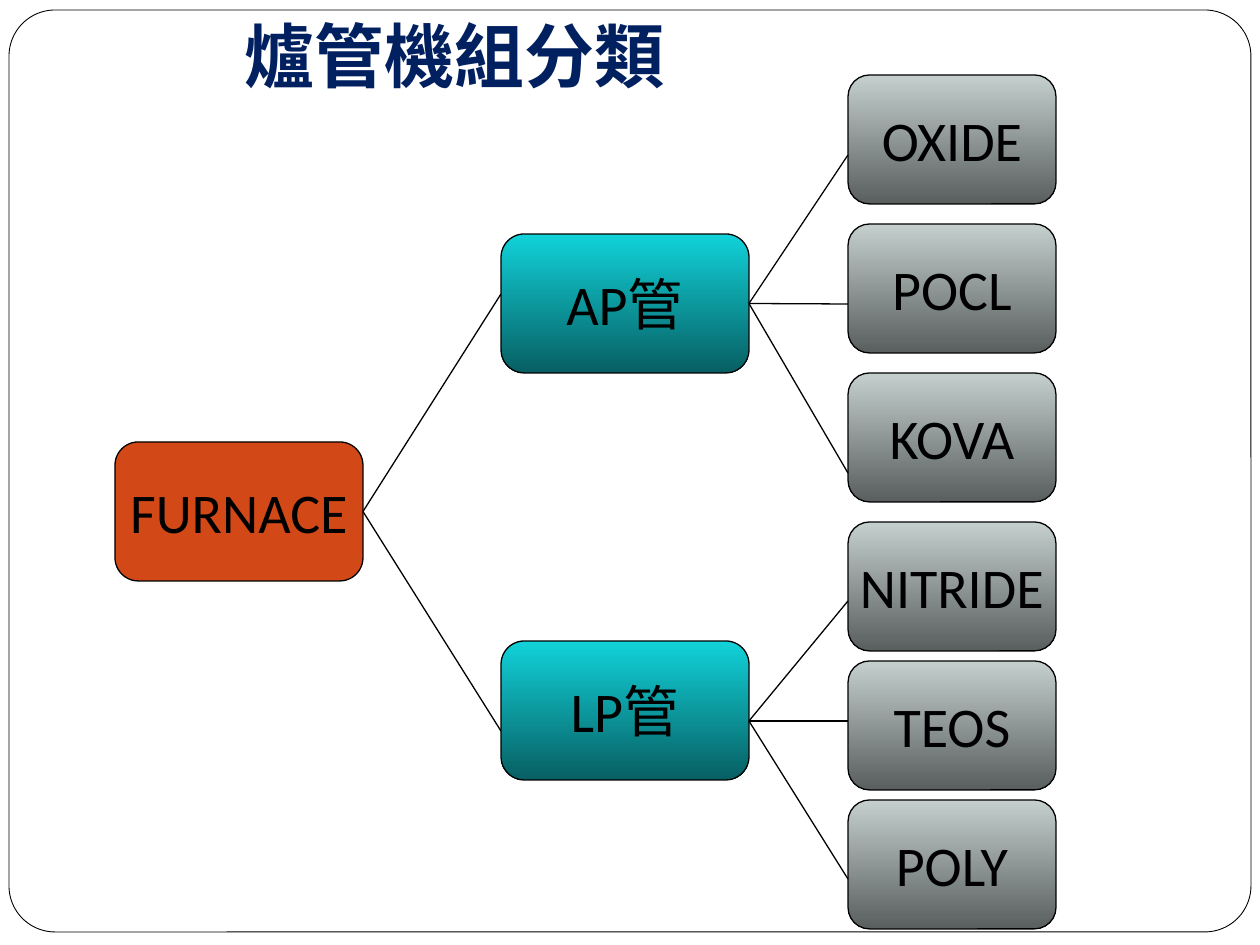
from collections import namedtuple
from dataclasses import dataclass

from lxml import etree
from pptx import Presentation
from pptx import util as u
from pptx.dml.color import RGBColor
from pptx.enum import shapes, text
from pptx.oxml.ns import qn

PX = u.Inches(1) / 126
Box = namedtuple("Box", "x y w h")


@dataclass(frozen=True)
class Theme:
    ink: str = "000000"
    paper: str = "FFFFFF"
    title: str = "002060"
    root: tuple = ("D34817",)
    tube: tuple = ("11D2D9", "075F63")
    leaf: tuple = ("C4CFCE", "595E5E")
    latin: str = "Calibri"
    han: str = "Noto Sans CJK SC"
    big: int = 40
    body: int = 32
    thin: float = 0.5
    line: float = 0.75


T = Theme()


def px(*vals):
    return [u.Emu(round(v * PX)) for v in vals]


def rgb(code):
    return RGBColor.from_string(code)


def put(obj, **vals):
    for name, val in vals.items():
        setattr(obj, name, val)


def write(shape, words, size, color, face, bold=False):
    run = shape.text_frame.paragraphs[0].add_run()
    run.text = words
    put(run.font, size=u.Pt(size), name=face, bold=bold)
    run.font.color.rgb = rgb(color)
    east = etree.SubElement(run.font._element, qn("a:ea"))
    east.set("typeface", T.han)


def paint(shape, tones):
    """Fill with one tone, or with two running from top to bottom."""
    fill = shape.fill
    if len(tones) == 1:
        fill.solid()
        fill.fore_color.rgb = rgb(tones[0])
        return
    fill.gradient()
    fill.gradient_angle = 270
    for stop, tone in zip(fill.gradient_stops, tones):
        stop.color.rgb = rgb(tone)


def card(slide, kind, box, tones, width):
    shape = slide.shapes.add_shape(kind, *px(*box))
    shape.shadow.inherit = False
    paint(shape, tones)
    shape.line.color.rgb = rgb(T.ink)
    shape.line.width = u.Pt(width)
    return shape


def node(slide, box, words, tones):
    kind = shapes.MSO_SHAPE.FLOWCHART_ALTERNATE_PROCESS
    shape = card(slide, kind, box, tones, T.line)
    put(shape.text_frame, word_wrap=False,
        vertical_anchor=text.MSO_ANCHOR.MIDDLE)
    shape.text_frame.paragraphs[0].alignment = text.PP_ALIGN.CENTER
    write(shape, words, T.body, T.ink, T.latin)
    return shape


def link(slide, start, end, source=None):
    """Draw a line, joined to the right side of source when one is given."""
    line = slide.shapes.add_connector(
        shapes.MSO_CONNECTOR.STRAIGHT, *px(*start, *end))
    if source is not None:
        line.begin_connect(source, 3)
    line.line.color.rgb = rgb(T.ink)
    line.line.width = u.Pt(T.line)
    etree.SubElement(line._element.spPr, qn("a:effectLst"))


def frame(slide, box):
    shape = card(slide, shapes.MSO_SHAPE.ROUNDED_RECTANGLE, box,
                 (T.paper,), T.thin)
    shape.adjustments[0] = 0.05


def title(slide, box, words):
    shape = slide.shapes.add_textbox(*px(*box))
    left, foot = px(91, 13)
    put(shape.text_frame, word_wrap=True, margin_left=left,
        margin_bottom=foot, vertical_anchor=text.MSO_ANCHOR.BOTTOM)
    write(shape, words, T.big, T.title, T.han, bold=True)


def branch(slide, box, words, port, join, leaves):
    """Draw a tube box and its leaves; heights count from the box's top."""
    tube = node(slide, Box(box.x, box.y, 248, 139), words, T.tube)
    source = tube if join else None
    for name, top, hit in leaves:
        node(slide, Box(box.x + 347, box.y + top, 208, 129), name, T.leaf)
        link(slide, (box.x + 248, box.y + port),
             (box.x + 347, box.y + hit), source)


def tree(slide, box):
    root = node(slide, Box(box.x, box.y + 367, 248, 139), "FURNACE", T.root)
    for hit in (219, 656):
        link(slide, (box.x + 248, box.y + 437), (box.x + 386, box.y + hit),
             root)
    branch(slide, Box(box.x + 386, box.y + 159, 555, 427), "AP管", 70, True,
           [("OXIDE", -159, -79), ("POCL", -10, 70), ("KOVA", 139, 239)])
    branch(slide, Box(box.x + 386, box.y + 566, 555, 407), "LP管", 80, False,
           [("NITRIDE", -119, -40), ("TEOS", 20, 80), ("POLY", 159, 238)])


def main():
    deck = Presentation()
    put(deck, slide_width=u.Inches(10), slide_height=u.Inches(7.5))
    slide = deck.slides.add_slide(deck.slide_layouts[6])
    frame(slide, Box(9, 10, 1242, 922))
    title(slide, Box(154, 0, 951, 110), "爐管機組分類")
    tree(slide, Box(115, 75, 941, 854))
    deck.save("out.pptx")


if __name__ == "__main__":
    main()
